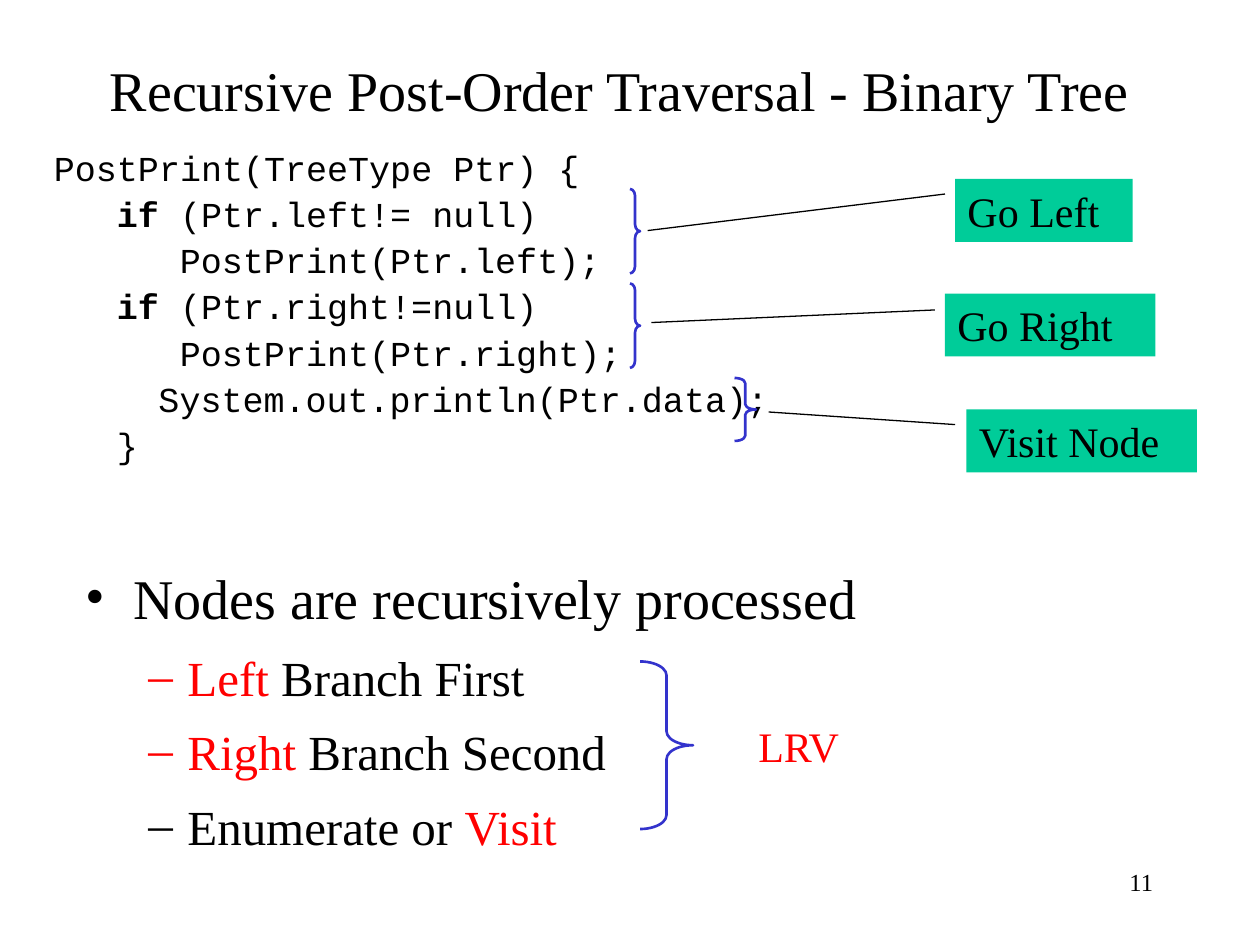
from typing import NamedTuple

from lxml.etree import SubElement
from pptx import Presentation
from pptx.dml.color import RGBColor
from pptx.enum.shapes import MSO_CONNECTOR, MSO_SHAPE
from pptx.enum.text import MSO_ANCHOR, PP_ALIGN
from pptx.oxml.ns import qn
from pptx.util import Inches, Pt

SERIF, MONO = "Times New Roman", "Courier New"
BLACK, RED, BLUE, GREEN = "000000", "FF0000", "3333CC", "00CC99"


class Box(NamedTuple):
    left: float
    top: float
    width: float
    height: float


class CodeLine(NamedTuple):
    indent: float
    text: str
    keyword: str = ""


class Callout(NamedTuple):
    text: str
    box: Box
    start: tuple[float, float]
    end: tuple[float, float]


class Bullet(NamedTuple):
    runs: list[tuple[str, str]]
    level: int = 1


CODE = [
    CodeLine(0, "PostPrint(TreeType Ptr) {"),
    CodeLine(0.5, " (Ptr.left!= null)", "if"),
    CodeLine(1, "PostPrint(Ptr.left);"),
    CodeLine(0.5, " (Ptr.right!=null)", "if"),
    CodeLine(1, "PostPrint(Ptr.right);"),
    CodeLine(0.83, "System.out.println(Ptr.data);"),
    CodeLine(0.5, "}"),
]
BRACES = [
    Box(5, 1.5, 0.08, 0.67),
    Box(5, 2.25, 0.08, 0.67),
    Box(5.83, 3, 0.17, 0.5),
    Box(5.08, 5.25, 0.42, 1.33),
]
CALLOUTS = [
    Callout("Go Left", Box(7.58, 1.42, 1.41, 0.5), (5.14, 1.83), (7.5, 1.54)),
    Callout("Go Right", Box(7.5, 2.33, 1.67, 0.5), (5.17, 2.56), (7.42, 2.46)),
    Callout("Visit Node", Box(7.67, 3.25, 1.83, 0.5), (6.1, 3.27), (7.58, 3.37)),
]
BULLETS = [
    Bullet([("Nodes are recursively processed", BLACK)], 0),
    Bullet([("Left", RED), (" Branch First", BLACK)]),
    Bullet([("Right", RED), (" Branch Second", BLACK)]),
    Bullet([("Enumerate or ", BLACK), ("Visit", RED)]),
]


def color(value: str) -> RGBColor:
    return RGBColor.from_string(value)


def inches(box: Box) -> list[Inches]:
    return [Inches(length) for length in box]


def style(paragraph, size: float, font: str = SERIF, ink: str = BLACK) -> None:
    paragraph.font.size = Pt(size)
    paragraph.font.name = font
    paragraph.font.color.rgb = color(ink)


def add_frame(slide, box: Box):
    frame = slide.shapes.add_textbox(*inches(box)).text_frame
    frame.word_wrap = True
    return frame


def add_label(slide, text: str, box: Box, size: float, ink: str = BLACK,
              align: PP_ALIGN = PP_ALIGN.LEFT, before: float = 0,
              anchor: MSO_ANCHOR = MSO_ANCHOR.TOP) -> None:
    frame = add_frame(slide, box)
    frame.vertical_anchor = anchor
    label = frame.paragraphs[0]
    label.text = text
    label.alignment = align
    label.space_before = Pt(before)
    style(label, size, ink=ink)


def next_paragraph(frame, index: int):
    return frame.paragraphs[0] if index == 0 else frame.add_paragraph()


def add_code(slide, lines: list[CodeLine], box: Box) -> None:
    frame = add_frame(slide, box)
    for index, line in enumerate(lines):
        statement = next_paragraph(frame, index)
        statement.line_spacing = Pt(26.4)
        style(statement, 20, MONO)
        statement._p.get_or_add_pPr().set("marL", str(Inches(line.indent)))
        if line.keyword:
            keyword = statement.add_run()
            keyword.text = line.keyword
            keyword.font.bold = True
        statement.add_run().text = line.text


def set_bullet(paragraph, mark: str, ink: str, margin: float, hang: float) -> None:
    properties = paragraph._p.get_or_add_pPr()
    properties.set("marL", str(Inches(margin)))
    properties.set("indent", str(-Inches(hang)))
    mark_color = SubElement(properties, qn("a:buClr"))
    SubElement(mark_color, qn("a:srgbClr")).set("val", ink)
    SubElement(properties, qn("a:buFont")).set("typeface", SERIF)
    SubElement(properties, qn("a:buChar")).set("char", mark)


def add_bullets(slide, bullets: list[Bullet], box: Box) -> None:
    frame = add_frame(slide, box)
    for index, bullet in enumerate(bullets):
        point = next_paragraph(frame, index)
        point.level = bullet.level
        size = 28 if bullet.level else 32
        point.space_before = Pt(size * 0.625)
        if bullet.level:
            point.line_spacing = 0.75
        first_ink = bullet.runs[0][1]
        if bullet.level:
            set_bullet(point, "–", first_ink, 0.81, 0.31)
        else:
            set_bullet(point, "•", first_ink, 0.38, 0.38)
        point.font.size = Pt(size)
        point.font.name = SERIF
        for text, ink in bullet.runs:
            run = point.add_run()
            run.text = text
            run.font.color.rgb = color(ink)


def add_brace(slide, box: Box) -> None:
    brace = slide.shapes.add_shape(MSO_SHAPE.RIGHT_BRACE, *inches(box))
    brace.shadow.inherit = False
    # Each curl takes a twelfth of the height
    brace.adjustments[0] = box.height / 12 / box.width
    brace.fill.background()
    brace.line.color.rgb = color(BLUE)
    brace.line.width = Pt(1.5)


def add_callout(slide, callout: Callout) -> None:
    tag = slide.shapes.add_shape(MSO_SHAPE.RECTANGLE, *inches(callout.box))
    tag.shadow.inherit = False
    tag.fill.solid()
    tag.fill.fore_color.rgb = color(GREEN)
    tag.line.fill.background()
    tag.text_frame.vertical_anchor = MSO_ANCHOR.TOP
    caption = tag.text_frame.paragraphs[0]
    caption.text = callout.text
    caption.alignment = PP_ALIGN.LEFT
    style(caption, 24)

    ends = [Inches(value) for value in callout.start + callout.end]
    leader = slide.shapes.add_connector(MSO_CONNECTOR.STRAIGHT, *ends)
    leader.line.color.rgb = color(BLACK)
    leader.line.width = Pt(0.75)
    SubElement(leader._element.spPr, qn("a:effectLst"))


def main() -> None:
    presentation = Presentation()
    presentation.slide_width, presentation.slide_height = Inches(10), Inches(7.5)
    slide = presentation.slides.add_slide(presentation.slide_layouts[6])

    # Title and code
    add_label(slide, "Recursive Post-Order Traversal - Binary Tree",
              Box(0.67, 0.25, 8.5, 0.92), 32, align=PP_ALIGN.CENTER,
              anchor=MSO_ANCHOR.MIDDLE)
    add_code(slide, CODE, Box(0.33, 1.08, 6, 2.67))

    # Braces and the steps they stand for
    for brace in BRACES:
        add_brace(slide, brace)
    for callout in CALLOUTS:
        add_callout(slide, callout)

    # Summary and slide number
    add_bullets(slide, BULLETS, Box(0.58, 4.42, 8.5, 2.67))
    add_label(slide, "LRV", Box(5.92, 5.67, 0.92, 0.5), 24, RED, before=15)
    add_label(slide, "11", Box(7.17, 6.83, 2.08, 0.5), 14, align=PP_ALIGN.RIGHT)

    presentation.save("out.pptx")


if __name__ == "__main__":
    main()
